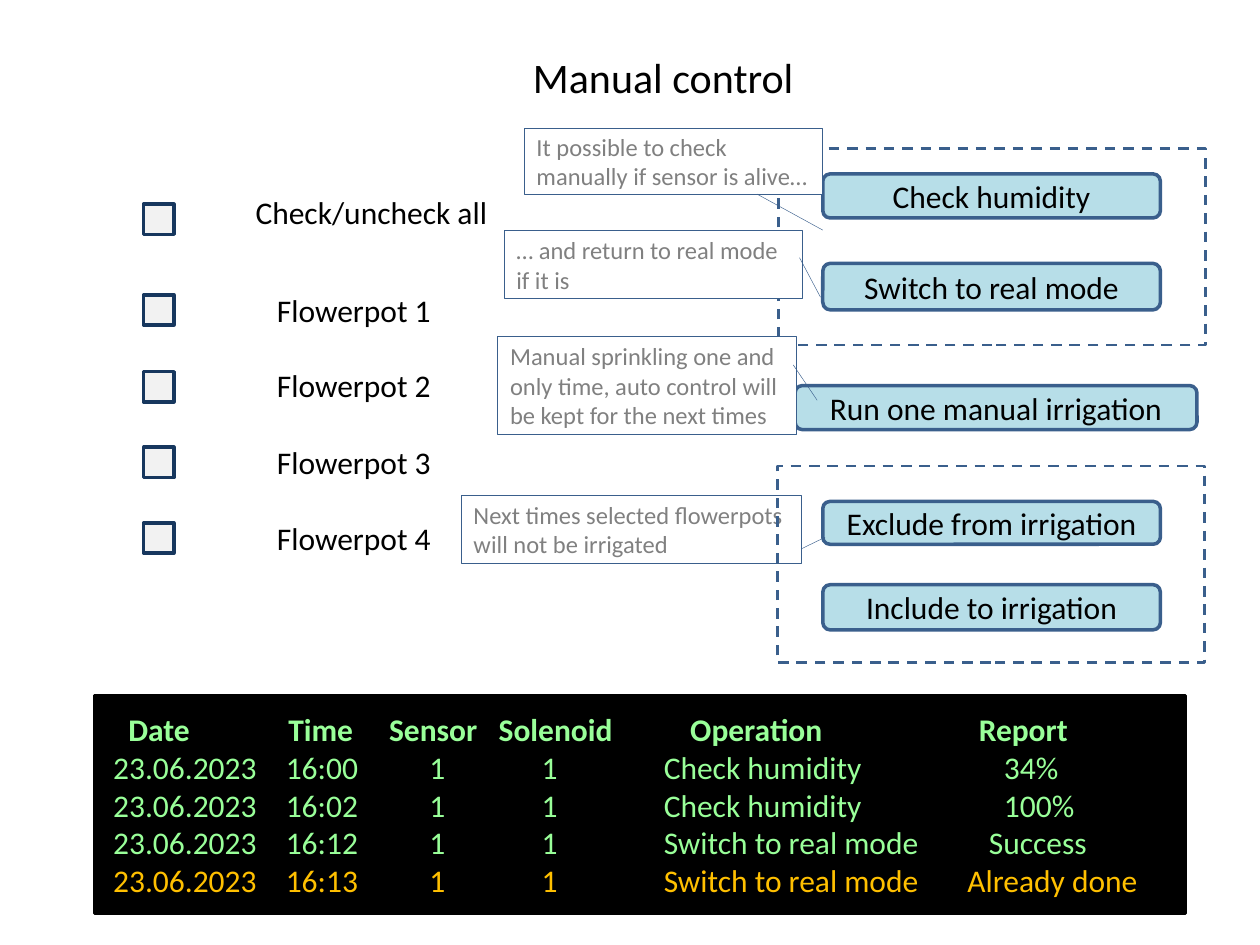
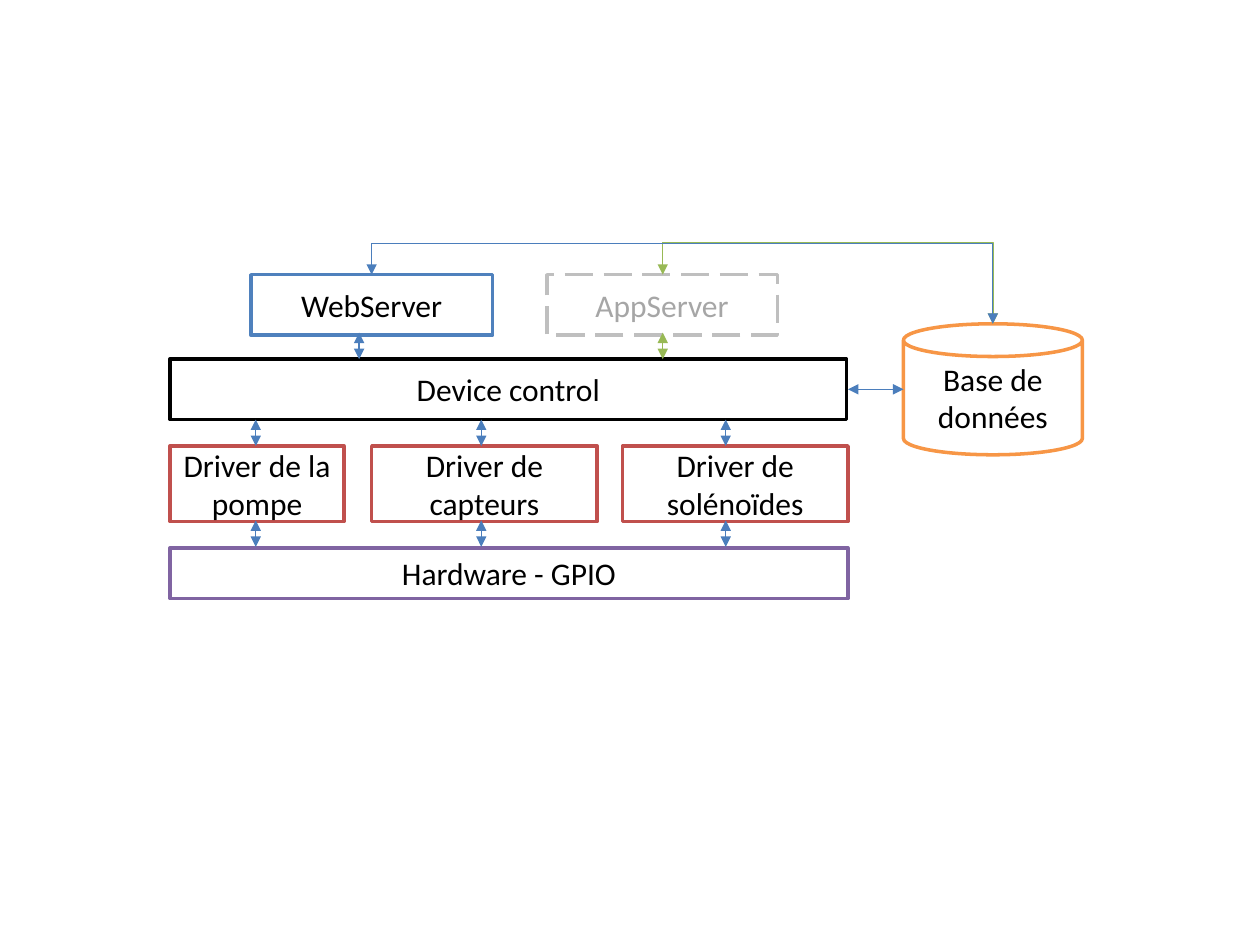
from lxml import etree
from pptx import Presentation
from pptx.dml.color import RGBColor
from pptx.enum.dml import MSO_LINE
from pptx.enum.shapes import MSO_CONNECTOR, MSO_SHAPE
from pptx.enum.text import MSO_ANCHOR, PP_ALIGN
from pptx.oxml.ns import qn
from pptx.util import Inches, Pt

BLACK = RGBColor(0x00, 0x00, 0x00)
WHITE = RGBColor(0xFF, 0xFF, 0xFF)
STEEL = RGBColor(0x3A, 0x5F, 0x8C)
NAVY = RGBColor(0x17, 0x37, 0x5E)
PALE_GREY = RGBColor(0xF2, 0xF2, 0xF2)
NOTE_GREY = RGBColor(0x80, 0x80, 0x80)
PALE_BLUE = RGBColor(0xB7, 0xDE, 0xE8)
LOG_GREEN = RGBColor(0x99, 0xFF, 0x99)
LOG_AMBER = RGBColor(0xFF, 0xC0, 0x00)
BLUE = RGBColor(0x4F, 0x81, 0xBD)
RED = RGBColor(0xC0, 0x50, 0x4D)
ORANGE = RGBColor(0xF7, 0x96, 0x46)
PURPLE = RGBColor(0x80, 0x64, 0xA2)
OFF_LINE = RGBColor(0xBF, 0xBF, 0xBF)
OFF_TEXT = RGBColor(0xA6, 0xA6, 0xA6)
BLUE_ARROW = RGBColor(0x4B, 0x7E, 0xBC)
GREEN_ARROW = RGBColor(0x98, 0xB9, 0x55)
FONT = "Calibri"


def add_box(slide, kind, place, fill, line, weight=2, text="", color=BLACK,
            size=18, align=PP_ALIGN.CENTER):
    """Add an outlined preset shape with optional text; fill None is hollow."""
    box = slide.shapes.add_shape(kind, *[Inches(value) for value in place])
    box.shadow.inherit = False
    if fill is None:
        box.fill.background()
    else:
        box.fill.solid()
        box.fill.fore_color.rgb = fill
    box.line.color.rgb = line
    box.line.width = Pt(weight)
    frame = box.text_frame
    frame.word_wrap = True
    frame.vertical_anchor = MSO_ANCHOR.MIDDLE
    frame.text = text
    for para in frame.paragraphs:
        para.alignment = align
        para.font.name = FONT
        para.font.size = Pt(size)
        para.font.color.rgb = color
    return box


def add_arrow(slide, start, end, color, kind=MSO_CONNECTOR.STRAIGHT):
    """Add a thin connector with a triangle at both ends."""
    arrow = slide.shapes.add_connector(
        kind, *[Inches(value) for value in (*start, *end)])
    arrow.line.color.rgb = color
    arrow.line.width = Pt(0.75)
    line = arrow.line._get_or_add_ln()
    for tag in ("a:headEnd", "a:tailEnd"):
        etree.SubElement(line, qn(tag), type="triangle")
    etree.SubElement(arrow._element.spPr, qn("a:effectLst"))
    return arrow


deck = Presentation()
deck.slide_width = Inches(10)
deck.slide_height = Inches(7.5)

# Slide 1: manual control page
page = deck.slides.add_slide(deck.slide_layouts[5])
title = page.shapes.title
title.left, title.top = Inches(4.13), Inches(0.36)
title.width, title.height = Inches(2.29), Inches(0.5)
title.text_frame.text = "Manual control"
title.text_frame.word_wrap = False
title.text_frame.vertical_anchor = MSO_ANCHOR.TOP
title_para = title.text_frame.paragraphs[0]
title_para.alignment = PP_ALIGN.LEFT
title_span = title_para.runs[0]
title_span.font.name = FONT
title_span.font.size = Pt(24)
title_span.font.color.rgb = BLACK

sensor_group = add_box(page, MSO_SHAPE.RECTANGLE, (6.18, 1.18, 3.39, 1.56),
                       None, STEEL, 1.5)
sensor_group.line.dash_style = MSO_LINE.DASH

# Check boxes: box top, then label left, top, width and text
choices = [
    (1.62, 1.93, 1.48, 2.06, "Check/uncheck all"),
    (2.34, 2.1, 2.26, 1.44, "Flowerpot 1"),
    (2.95, 2.1, 2.86, 1.44, "Flowerpot 2"),
    (3.55, 2.1, 3.47, 1.44, "Flowerpot 3"),
    (4.15, 2.1, 4.07, 1.44, "Flowerpot 4"),
]
for box_top, left, top, width, text in choices:
    add_box(page, MSO_SHAPE.RECTANGLE, (1.14, box_top, 0.24, 0.24),
            PALE_GREY, NAVY)
    label = page.shapes.add_textbox(Inches(left), Inches(top),
                                    Inches(width), Inches(0.4))
    label.text_frame.word_wrap = False
    label.text_frame.text = text
    span = label.text_frame.paragraphs[0].runs[0]
    span.font.name = FONT
    span.font.size = Pt(18)
    span.font.color.rgb = BLACK

buttons = [
    (6.53, 1.38, 2.68, 0.35, "Check humidity"),
    (6.53, 2.09, 2.68, 0.37, "Switch to real mode"),
    (6.31, 3.06, 3.19, 0.35, "Run one manual irrigation"),
    (6.53, 3.98, 2.68, 0.34, "Exclude from irrigation"),
    (6.53, 4.64, 2.68, 0.36, "Include to irrigation"),
]
for *place, text in buttons:
    add_box(page, MSO_SHAPE.ROUNDED_RECTANGLE, place, PALE_BLUE, STEEL,
            text=text)

# Callouts: place, pointer (start y, start x, end y, end x), text
callouts = [
    ((4.16, 1.02, 2.37, 0.52), (0.998, 0.778, 1.552, 1.003),
     "It possible to check manually if sensor is alive…"),
    ((4, 1.83, 2.37, 0.54), (0.401, 0.995, 0.984, 1.063),
     "… and return to real mode if it is"),
    ((3.95, 2.67, 2.37, 0.78), (0.29, 0.995, 0.645, 1.071),
     "Manual sprinkling one and only time, auto control will be kept "
     "for the next times"),
    ((3.66, 3.93, 2.7, 0.54), (0.787, 1.004, 0.616, 1.069),
     "Next times selected flowerpots will not be irrigated"),
]
for place, pointer, text in callouts:
    callout = add_box(page, MSO_SHAPE.LINE_CALLOUT_1, place, WHITE, STEEL,
                      0.25, text, NOTE_GREY, 14, PP_ALIGN.LEFT)
    for index, value in enumerate(pointer):
        callout.adjustments[index] = round(value, 2)

irrigation_group = add_box(page, MSO_SHAPE.RECTANGLE,
                           (6.17, 3.7, 3.39, 1.56), None, STEEL, 1.5)
irrigation_group.line.dash_style = MSO_LINE.DASH

# Operation log: columns are tab stops measured from the text edge
header_stops = (0.17, 1.44, 2.24, 3.11, 4.63, 6.92)
entry_stops = (0.05, 1.42, 2.56, 3.45, 4.42)
log_rows = [
    ("Date", "Time", "Sensor", "Solenoid", "Operation", "Report"),
    ("23.06.2023", "16:00", "1", "1", "Check humidity", "34%"),
    ("23.06.2023", "16:02", "1", "1", "Check humidity", "100%"),
    ("23.06.2023", "16:12", "1", "1", "Switch to real mode", "Success"),
    ("23.06.2023", "16:13", "1", "1", "Switch to real mode", "Already done"),
]
row_stops = [header_stops] + [entry_stops + (report,)
                              for report in (7.12, 7.12, 7, 6.83)]
log_text = "\n".join("\t" + "\t".join(row) for row in log_rows)
log = add_box(page, MSO_SHAPE.RECTANGLE, (0.75, 5.52, 8.66, 1.73), BLACK,
              BLACK, text=log_text, color=LOG_GREEN, align=PP_ALIGN.LEFT)
log_paras = log.text_frame.paragraphs
for para, stops in zip(log_paras, row_stops):
    properties = para._p.get_or_add_pPr()
    tab_list = etree.Element(qn("a:tabLst"))
    properties.insert(0, tab_list)
    for stop in stops:
        etree.SubElement(tab_list, qn("a:tab"), pos=str(Inches(stop)),
                         algn="l")
log_paras[0].font.bold = True
log_paras[-1].font.color.rgb = LOG_AMBER

# Slide 2: software layers
page = deck.slides.add_slide(deck.slide_layouts[6])
layers = [
    ((1.35, 2.85, 5.37, 0.48), BLACK, "Device control"),
    ((1.99, 2.18, 1.92, 0.48), BLUE, "WebServer"),
    ((1.35, 3.54, 1.38, 0.6), RED, "Driver de la pompe"),
    ((2.95, 3.54, 1.79, 0.6), RED, "Driver de capteurs"),
    ((4.94, 3.54, 1.79, 0.6), RED, "Driver de solénoïdes"),
    ((1.35, 4.35, 5.38, 0.4), PURPLE, "Hardware - GPIO"),
]
for place, line, text in layers:
    add_box(page, MSO_SHAPE.RECTANGLE, place, WHITE, line, text=text)
add_box(page, MSO_SHAPE.CAN, (7.17, 2.57, 1.42, 1.04), WHITE, ORANGE,
        text="Base de données")
app_server = add_box(page, MSO_SHAPE.RECTANGLE, (4.34, 2.18, 1.83, 0.48),
                     WHITE, OFF_LINE, text="AppServer", color=OFF_TEXT)
app_server.line.dash_style = MSO_LINE.LONG_DASH

# Server to database: an elbow turned a quarter so that it rises first
server_top, database_top, database_x = 2.18, 2.57, 7.88
drop = database_top - server_top
for server_x, color, bend in ((5.26, GREEN_ARROW, -65000),
                              (2.95, BLUE_ARROW, -64000)):
    span_x = database_x - server_x
    left = (server_x + database_x - drop) / 2
    top = (server_top + database_top - span_x) / 2
    elbow = add_arrow(page, (left, top), (left + drop, top + span_x), color,
                      MSO_CONNECTOR.ELBOW)
    transform = elbow._element.spPr.find(qn("a:xfrm"))
    transform.set("rot", "16200000")
    transform.set("flipH", "1")
    geometry = elbow._element.spPr.find(qn("a:prstGeom"))
    guides = geometry.find(qn("a:avLst"))
    if guides is None:
        guides = etree.SubElement(geometry, qn("a:avLst"))
    etree.SubElement(guides, qn("a:gd"), name="adj1", fmla=f"val {bend}")

add_arrow(page, (6.73, 3.09), (7.17, 3.09), BLUE_ARROW)
for driver_x in (2.03, 3.82, 5.76):
    for top in (3.33, 4.13):
        add_arrow(page, (driver_x, top), (driver_x, top + 0.21), BLUE_ARROW)
for server_x, color in ((2.85, BLUE_ARROW), (5.26, GREEN_ARROW)):
    add_arrow(page, (server_x, 2.64), (server_x, 2.85), color)

deck.save("out.pptx")
